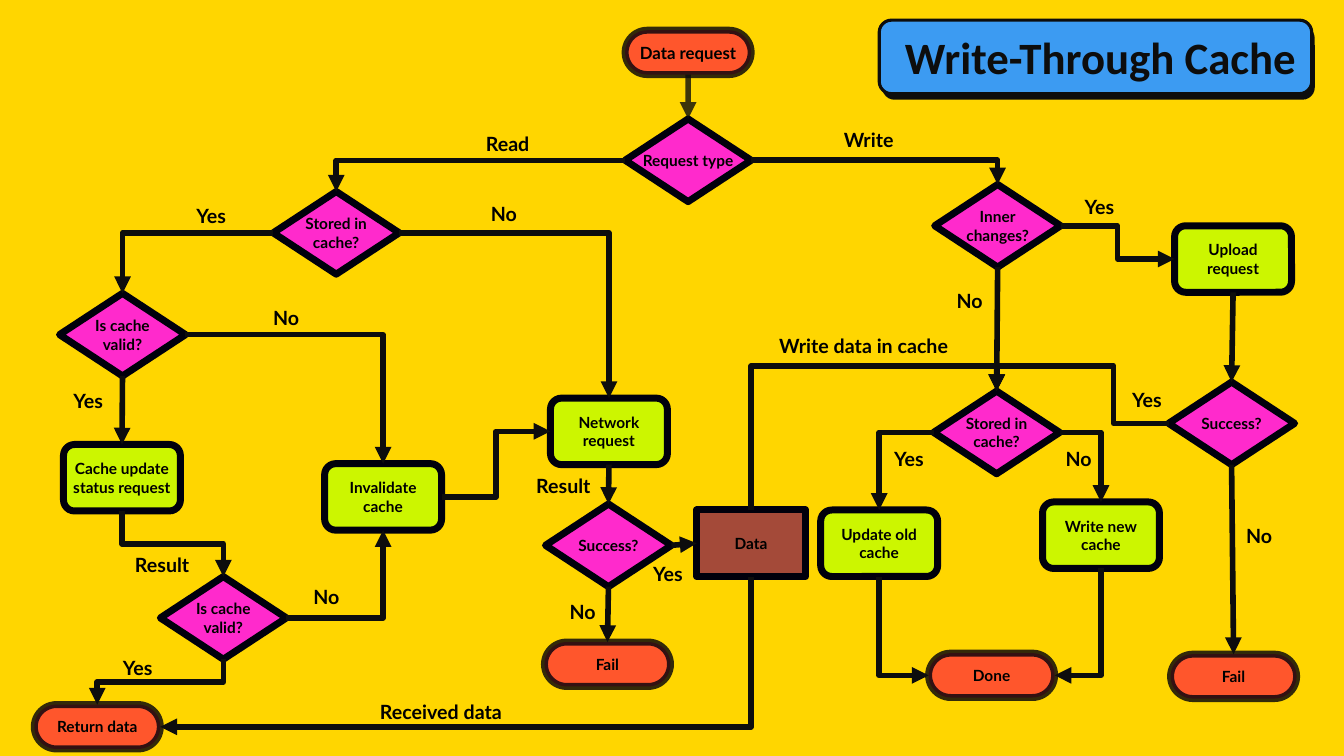
"""Build the write-through cache flowchart slide."""
import pptx
import pptx.dml.color
import pptx.enum.shapes
import pptx.enum.text
import pptx.oxml
import pptx.oxml.ns
import pptx.util

Inches = pptx.util.Inches
RGBColor = pptx.dml.color.RGBColor
Shape = pptx.enum.shapes.MSO_SHAPE
Align = pptx.enum.text.PP_ALIGN
Anchor = pptx.enum.text.MSO_ANCHOR
qn = pptx.oxml.ns.qn

YELLOW = RGBColor(0xFF, 0xD6, 0x00)
BLUE = RGBColor(0x3C, 0x9B, 0xF2)
RED = RGBColor(0xFF, 0x37, 0x37)
MAGENTA = RGBColor(0xFF, 0x00, 0xFF)
LIME = RGBColor(0xC0, 0xFF, 0x00)
BROWN = RGBColor(0xA4, 0x4A, 0x39)
INK = RGBColor(0x0D, 0x0D, 0x0D)
OUTLINE = RGBColor(0x00, 0x00, 0x0C)
BLACK = RGBColor(0x00, 0x00, 0x00)

TOP, LEFT, BOTTOM, RIGHT = range(4)

# (leaves vertically, goes right, goes down): (rotation, flipH, flipV)
ROUTES = {
    (False, True, True): (0, 0, 0),
    (False, True, False): (0, 0, 1),
    (False, False, True): (180, 0, 1),
    (False, False, False): (180, 0, 0),
    (True, False, True): (90, 0, 0),
    (True, True, True): (270, 1, 0),
    (True, True, False): (90, 1, 1),
}

KINDS = {
    "terminal": (Shape.ROUNDED_RECTANGLE, 1.25, 0.44, RED, 80, 80),
    "decision": (Shape.DIAMOND, 1.25, 0.82, MAGENTA, 80, 100),
    "process": (Shape.ROUNDED_RECTANGLE, 1.16, 0.66, LIME, 80, 100),
    "data": (Shape.RECTANGLE, 1.08, 0.66, BROWN, 100, 100),
}

NODES = {
    "start": ("terminal", 6.2, 0.3, "Data request"),
    "type": ("decision", 6.2, 1.18, "Request type"),
    "read stored": ("decision", 2.71, 1.9, "Stored in\ncache?"),
    "valid": ("decision", 0.59, 2.91, "Is cache\nvalid?"),
    "valid again": ("decision", 1.59, 5.72, "Is cache\nvalid?"),
    "read success": ("decision", 5.41, 5, "Success?"),
    "changes": ("decision", 9.27, 1.83, "Inner\nchanges?"),
    "write success": ("decision", 11.59, 3.79, "Success?"),
    "write stored": ("decision", 9.26, 3.88, "Stored in\ncache?"),
    "read fail": ("terminal", 5.4, 6.37, "Fail"),
    "return": ("terminal", 0.34, 6.99, "Return data"),
    "done": ("terminal", 9.21, 6.48, "Done"),
    "write fail": ("terminal", 11.61, 6.49, "Fail"),
    "upload": ("process", 11.65, 2.24, "Upload\nrequest"),
    "write new": ("process", 10.34, 4.98, "Write new\ncache"),
    "update old": ("process", 8.14, 5.06, "Update old\ncache"),
    "network": ("process", 5.46, 3.95, "Network\nrequest"),
    "invalidate": ("process", 3.22, 4.6, "Invalidate\ncache"),
    "status": ("process", 0.63, 4.41, "Cache update\nstatus request"),
    "data": ("data", 6.91, 5.06, "Data"),
}

STRAIGHT_LINKS = [
    ("start", BOTTOM, "type", TOP, 80),
    ("valid", BOTTOM, "status", TOP),
    ("changes", BOTTOM, "write stored", TOP),
    ("read success", RIGHT, "data", LEFT),
    ("network", BOTTOM, "read success", TOP),
    ("read success", BOTTOM, "read fail", TOP),
    ("upload", BOTTOM, "write success", TOP),
    ("write success", BOTTOM, "write fail", TOP),
]

BENT_LINKS = [
    ("type", RIGHT, "changes", TOP),
    ("type", LEFT, "read stored", TOP),
    ("read stored", RIGHT, "network", TOP),
    ("read stored", LEFT, "valid", TOP),
    ("valid", RIGHT, "invalidate", TOP),
    ("status", BOTTOM, "valid again", TOP),
    ("valid again", RIGHT, "invalidate", BOTTOM),
    ("valid again", BOTTOM, "return", TOP),
    ("invalidate", RIGHT, "network", LEFT),
    ("data", TOP, "write stored", TOP, 1.21),
    ("data", BOTTOM, "return", RIGHT),
    ("write stored", LEFT, "update old", TOP),
    ("write stored", RIGHT, "write new", TOP),
    ("write new", BOTTOM, "done", RIGHT),
    ("update old", BOTTOM, "done", LEFT),
    ("changes", RIGHT, "upload", LEFT),
    ("write success", LEFT, "write stored", TOP, 0.32, 1.78),
]

LABELS = [
    ("Read", 4.72, 1.26), ("Yes", 1.85, 1.97), ("No", 4.77, 1.95),
    ("No", 2.61, 2.99), ("Yes", 0.63, 3.81), ("Result", 1.24, 5.44),
    ("Yes", 1.12, 6.46), ("No", 3.01, 5.75), ("Received data", 3.67, 6.89, 1.77),
    ("Yes", 6.38, 5.53), ("No", 5.55, 5.9), ("Result", 5.22, 4.65),
    ("Write", 8.27, 1.22), ("Yes", 10.66, 1.88), ("No", 10.47, 4.38),
    ("No", 9.39, 2.82), ("Yes", 8.77, 4.38), ("Yes", 11.13, 3.8),
    ("No", 12.26, 5.15), ("Write data in cache", 7.63, 3.26, 1.93),
]


def write(frame, text, *, size=11, font="Lato", color=BLACK, align=Align.CENTER):
    """Fill a text frame, one paragraph a line."""
    for index, line in enumerate(text.split("\n")):
        para = frame.add_paragraph() if index else frame.paragraphs[0]
        para.alignment = align
        span = para.add_run()
        span.text = line
        span.font.size = pptx.util.Pt(size)
        span.font.name = font
        span.font.bold = True
        span.font.color.rgb = color


class Flowchart:
    """Draws flowchart elements in one style on one slide."""

    def __init__(self, page):
        self.page = page
        self.nodes = {}

    def paint(self, fill, color, opacity=100):
        fill.solid()
        fill.fore_color.rgb = color
        if opacity < 100:
            for tint in fill._xPr.iter(qn("a:srgbClr")):
                pptx.oxml.ns  # noqa
                alpha = tint.makeelement(qn("a:alpha"), {"val": str(opacity * 1000)})
                tint.append(alpha)

    def shape(self, preset, left, top, width, height, color, opacity=100):
        box = self.page.shapes.add_shape(
            preset, Inches(left), Inches(top), Inches(width), Inches(height))
        box.shadow.inherit = False
        self.paint(box.fill, color, opacity)
        return box

    def title(self, text):
        back = self.shape(Shape.ROUNDED_RECTANGLE, 8.75, 0.26, 4.29, 0.73, INK)
        back.line.fill.background()
        box = self.shape(Shape.ROUNDED_RECTANGLE, 8.72, 0.2, 4.29, 0.73, BLUE)
        self.paint(box.line.fill, INK)
        box.line.width = pptx.util.Pt(2.25)
        frame = box.text_frame
        frame.word_wrap = False
        frame.margin_left = Inches(0.22)
        frame.margin_right = 0
        write(frame, text, size=32, font="Calibri", color=INK, align=Align.LEFT)

    def node(self, name, kind, left, top, text):
        preset, width, height, color, opacity, line_opacity = KINDS[kind]
        box = self.shape(preset, left, top, width, height, color, opacity)
        if kind == "terminal":
            box.adjustments[0] = 0.5
        self.paint(box.line.fill, OUTLINE, line_opacity)
        box.line.width = pptx.util.Pt(5)
        frame = box.text_frame
        frame.word_wrap = False
        frame.vertical_anchor = Anchor.MIDDLE
        frame.margin_left = frame.margin_right = 0
        frame.margin_top = frame.margin_bottom = 0
        write(frame, text, size=12 if name == "start" else 11)
        self.nodes[name] = box

    def link(self, start, start_side, end, end_side, opacity=100):
        connector = self.page.shapes.add_connector(
            pptx.enum.shapes.MSO_CONNECTOR.STRAIGHT, 0, 0, 0, 0)
        connector.begin_connect(self.nodes[start], start_side)
        connector.end_connect(self.nodes[end], end_side)
        self.paint(connector.line.fill, INK, opacity)
        connector.line.width = pptx.util.Pt(4)
        line = connector.line._get_or_add_ln()
        line.append(line.makeelement(qn("a:tailEnd"), {"type": "triangle"}))
        properties = connector._element.spPr
        properties.append(properties.makeelement(qn("a:effectLst"), {}))
        return connector

    def bent_link(self, start, start_side, end, end_side, *bends):
        connector = self.link(start, start_side, end, end_side)
        across = connector.end_x - connector.begin_x
        down = connector.end_y - connector.begin_y
        center_x = connector.begin_x + across // 2
        center_y = connector.begin_y + down // 2
        vertical = start_side in (TOP, BOTTOM)
        width, height = abs(across), abs(down)
        if vertical:
            width, height = height, width
        connector.left, connector.top = center_x - width // 2, center_y - height // 2
        connector.width, connector.height = width, height
        turn, flip_h, flip_v = ROUTES[vertical, across > 0, down > 0]
        properties = connector._element.spPr
        frame = properties.find(qn("a:xfrm"))
        frame.set("rot", str(turn * 60000))
        frame.set("flipH", str(flip_h))
        frame.set("flipV", str(flip_v))
        parallel = vertical == (end_side in (TOP, BOTTOM))
        segments = 4 if len(bends) == 2 else 3 if parallel else 2
        geometry = properties.find(qn("a:prstGeom"))
        geometry.set("prst", f"bentConnector{segments}")
        guides = geometry.find(qn("a:avLst"))
        for number, bend in enumerate(bends, 1):
            guides.append(guides.makeelement(qn("a:gd"), {
                "name": f"adj{number}", "fmla": f"val {round(bend * 100000)}"}))

    def label(self, text, left, top, width=0.91):
        box = self.page.shapes.add_textbox(
            Inches(left), Inches(top), Inches(width), Inches(0.34))
        box.text_frame.word_wrap = True
        write(box.text_frame, text, size=14, align=Align.LEFT)


def main():
    deck = pptx.Presentation()
    deck.slide_width, deck.slide_height = Inches(13.33), Inches(7.5)
    page = deck.slides.add_slide(deck.slide_layouts[6])
    chart = Flowchart(page)
    chart.paint(page.background.fill, YELLOW)
    chart.title("Write-Through Cache")
    for name, node in NODES.items():
        chart.node(name, *node)
    for link in STRAIGHT_LINKS:
        chart.link(*link)
    for link in BENT_LINKS:
        chart.bent_link(*link)
    for label in LABELS:
        chart.label(*label)
    deck.save("out.pptx")


if __name__ == "__main__":
    main()
